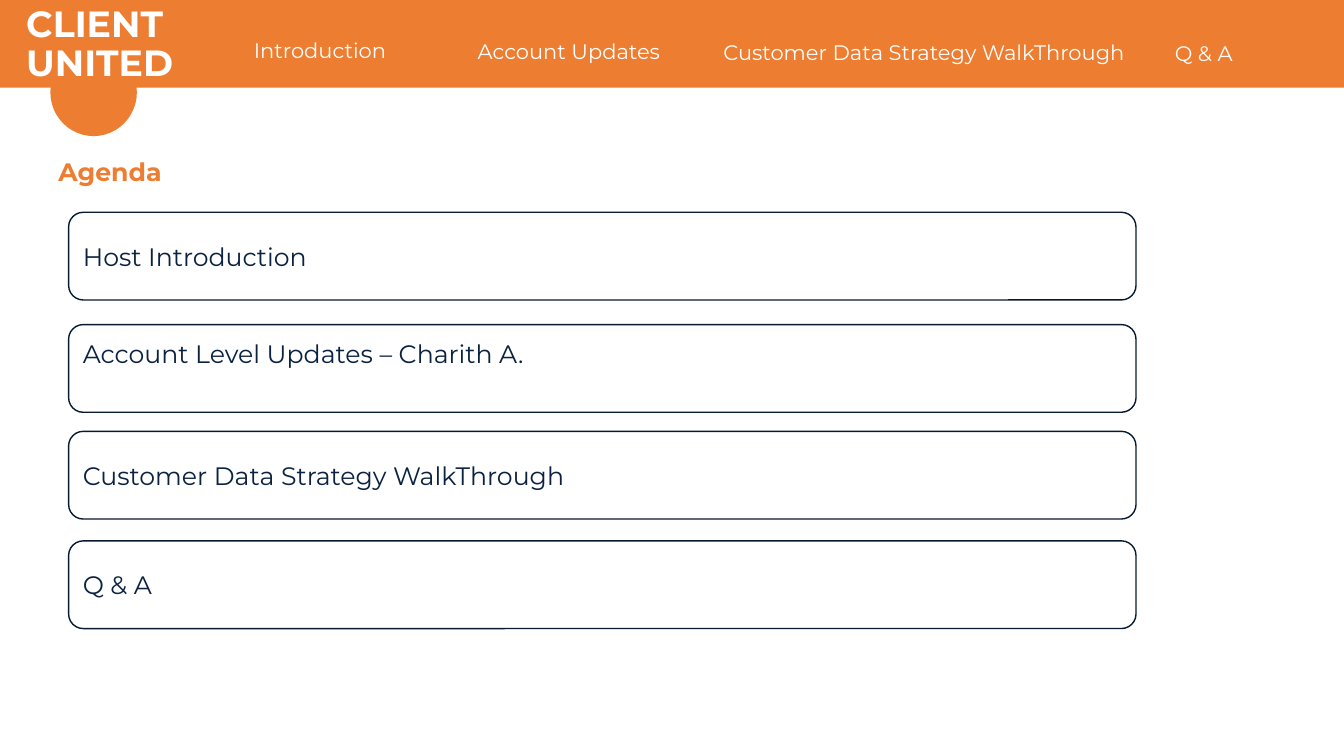
import pptx
import pptx.dml.color
import pptx.enum.shapes
import pptx.enum.text
import pptx.util

Cm = pptx.util.Cm
Pt = pptx.util.Pt
RGBColor = pptx.dml.color.RGBColor
Shape = pptx.enum.shapes.MSO_SHAPE
Anchor = pptx.enum.text.MSO_ANCHOR

ORANGE = RGBColor(0xED, 0x7D, 0x31)
WHITE = RGBColor(0xFF, 0xFF, 0xFF)
NAVY = RGBColor(0x0A, 0x22, 0x40)
OUTLINE = RGBColor(0x07, 0x19, 0x2F)

SLIDE_WIDTH = 33.87
BAR_HEIGHT = 2.21
NAVIGATION = [
    ("Introduction", 6.15, 5.97),
    ("Account Updates", 11.79, 5.97),
    ("Customer Data Strategy WalkThrough", 17.98, 11.02),
    ("Q & A", 29.36, 3),
]
AGENDA = [
    ("Host Introduction", 5.35, 0.13),
    ("Account Level Updates – Charith A.", 8.18, 0.86),
    ("Customer Data Strategy WalkThrough", 10.87, 0.13),
    ("Q & A", 13.63, 0.13),
]


def write_text(frame, text, size=18, color=NAVY, bold=False, anchor=Anchor.TOP, spacing=1.0, bottom=0.13):
    """Fill a text frame with one left-aligned paragraph."""
    frame.word_wrap = True
    frame.auto_size = pptx.enum.text.MSO_AUTO_SIZE.NONE
    frame.vertical_anchor = anchor
    frame.margin_bottom = Cm(bottom)
    paragraph = frame.paragraphs[0]
    paragraph.alignment = pptx.enum.text.PP_ALIGN.LEFT
    paragraph.line_spacing = spacing
    run = paragraph.add_run()
    run.text = text
    run.font.name = "Montserrat"
    run.font.size = Pt(size)
    run.font.bold = bold
    run.font.color.rgb = color


class AgendaSlide:
    """Hold the current slide and draw its elements in one style."""

    def __init__(self, presentation):
        """Add a title-only slide."""
        self.slide = presentation.slides.add_slide(presentation.slide_layouts[5])

    def title(self, text, left, top, width, height):
        """Place and format the title placeholder."""
        title = self.slide.shapes.title
        title.left, title.top, title.width, title.height = map(Cm, (left, top, width, height))
        write_text(title.text_frame, text, color=ORANGE, bold=True)

    def block(self, kind, left, top, width, height, fill=ORANGE, line=None):
        """Draw a filled shape, outlined when a line colour is given."""
        shape = self.slide.shapes.add_shape(kind, *map(Cm, (left, top, width, height)))
        shape.shadow.inherit = False
        shape.fill.solid()
        shape.fill.fore_color.rgb = fill
        if line is None:
            shape.line.fill.background()
        else:
            shape.line.color.rgb = line
            shape.line.width = Pt(1)
        return shape

    def label(self, text, left, top, width, height, **style):
        """Add a white text box."""
        box = self.slide.shapes.add_textbox(*map(Cm, (left, top, width, height)))
        write_text(box.text_frame, text, color=WHITE, **style)

    def agenda_item(self, text, top, bottom):
        """Draw one rounded agenda box."""
        box = self.block(Shape.ROUNDED_RECTANGLE, 1.73, top, 26.9, BAR_HEIGHT, WHITE, OUTLINE)
        write_text(box.text_frame, text, anchor=Anchor.MIDDLE, bottom=bottom)


def main():
    """Build and save the presentation."""
    presentation = pptx.Presentation()
    presentation.slide_width = Cm(SLIDE_WIDTH)
    presentation.slide_height = Cm(19.05)
    agenda = AgendaSlide(presentation)
    agenda.title("Agenda", 1.22, 3.81, 3.81, 1.02)
    agenda.block(Shape.FLOWCHART_CONNECTOR, 1.27, 1.22, 2.18, 2.21)
    agenda.block(Shape.RECTANGLE, 0, 0, SLIDE_WIDTH, BAR_HEIGHT)
    agenda.label("CLIENT UNITED", 0.41, 0.03, 5.97, 1.98, size=26, bold=True, spacing=0.9)
    for index, (text, left, width) in enumerate(NAVIGATION):
        agenda.label(text, left, 0.81 + 0.03 * index, width, 0.89, size=15)
    for text, top, bottom in AGENDA:
        agenda.agenda_item(text, top, bottom)
    presentation.save("out.pptx")


if __name__ == "__main__":
    main()
